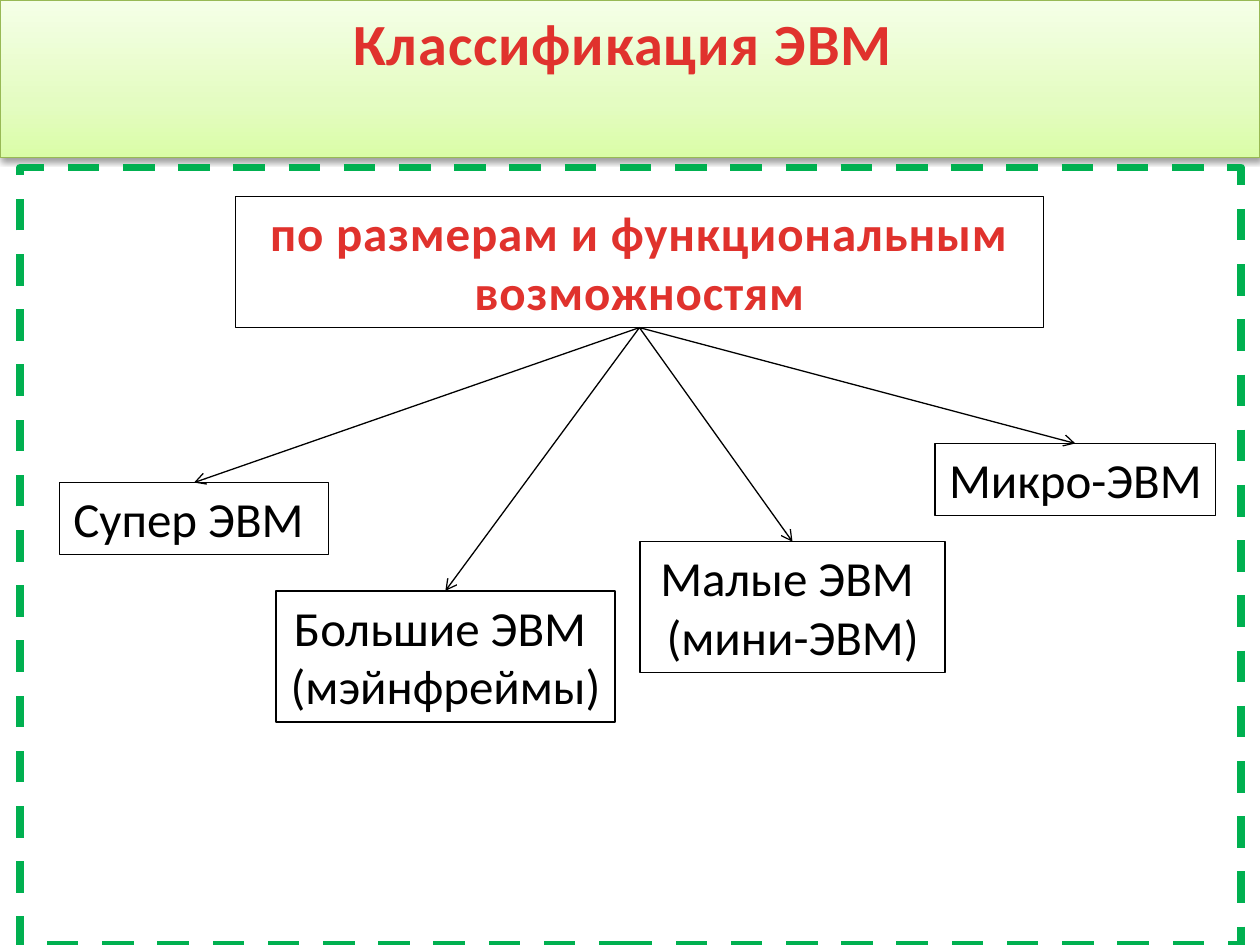
from dataclasses import dataclass

import pptx
import pptx.dml.color
import pptx.enum.dml
import pptx.enum.shapes
import pptx.enum.text
import pptx.oxml
import pptx.oxml.ns
import pptx.util

NS = pptx.oxml.ns.nsdecls("a")
BOTTOM, TOP = 2, 0


@dataclass(frozen=True)
class Theme:
    font: str = "Calibri"
    accent: str = "E0322D"
    ink: str = "000000"
    frame: str = "00B050"
    band_line: str = "98B955"
    band_stops: tuple = ((0, "DAFDA7"), (35, "E4FCC2"), (100, "F5FFE7"))
    title_size: float = 33.3
    body_size: float = 28
    thin: float = 0.75
    thick: float = 4.5


def rgb(value):
    return pptx.dml.color.RGBColor.from_string(value)


def apply(target, values):
    for name, value in values.items():
        setattr(target, name, value)


class SlideBuilder:
    """Places elements on a grid of 100 columns by 75 rows."""

    def __init__(self, prs, theme):
        self.theme = theme
        self.cell = prs.slide_width / 100
        self.s = prs.slides.add_slide(prs.slide_layouts[5])

    def place(self, *cells):
        return [round(c * self.cell) for c in cells]

    def outline(self, sp, color, width):
        sp.line.color.rgb = rgb(color)
        sp.line.width = pptx.util.Pt(width)

    def add_lines(self, tf, lines, size, heading):
        for i, text in enumerate(lines):
            p = tf.paragraphs[0] if i == 0 else tf.add_paragraph()
            p.alignment = pptx.enum.text.PP_ALIGN.CENTER
            r = p.add_run()
            r.text = text
            apply(r.font, {"name": self.theme.font, "size": pptx.util.Pt(size), "bold": heading})
            r.font.color.rgb = rgb(self.theme.accent if heading else self.theme.ink)
            if heading:
                r.font._element.set("spc", "50")

    def title(self, text, *cells):
        sp = self.s.shapes.title
        apply(sp, dict(zip(("left", "top", "width", "height"), self.place(*cells))))
        stops = "".join(
            f'<a:gs pos="{pos * 1000}"><a:srgbClr val="{color}"/></a:gs>'
            for pos, color in self.theme.band_stops)
        sp._element.spPr.append(pptx.oxml.parse_xml(
            f'<a:gradFill {NS} rotWithShape="1"><a:gsLst>{stops}</a:gsLst>'
            '<a:lin ang="16200000" scaled="0"/></a:gradFill>'))
        self.outline(sp, self.theme.band_line, self.theme.thin)
        sp._element.spPr.append(pptx.oxml.parse_xml(
            f'<a:effectLst {NS}><a:outerShdw blurRad="40000" dist="20000" dir="5400000" '
            'rotWithShape="0"><a:srgbClr val="000000"><a:alpha val="38000"/></a:srgbClr>'
            '</a:outerShdw></a:effectLst>'))
        tf = sp.text_frame
        apply(tf, {"word_wrap": True,
                   "auto_size": pptx.enum.text.MSO_AUTO_SIZE.NONE,
                   "vertical_anchor": pptx.enum.text.MSO_ANCHOR.TOP,
                   "margin_top": pptx.util.Inches(0.12)})
        self.add_lines(tf, [text], self.theme.title_size, True)
        tf.paragraphs[0].line_spacing = 0.9

    def frame(self, *cells):
        sp = self.s.shapes.add_shape(
            pptx.enum.shapes.MSO_SHAPE.RECTANGLE, *self.place(*cells))
        sp.shadow.inherit = False
        sp.fill.background()
        self.outline(sp, self.theme.frame, self.theme.thick)
        sp.line.dash_style = pptx.enum.dml.MSO_LINE.DASH

    def box(self, lines, *cells, heading=False, wrap=False):
        sp = self.s.shapes.add_textbox(*self.place(*cells))
        self.outline(sp, self.theme.ink, self.theme.thin)
        apply(sp.text_frame, {"word_wrap": wrap,
                              "auto_size": pptx.enum.text.MSO_AUTO_SIZE.SHAPE_TO_FIT_TEXT})
        self.add_lines(sp.text_frame, lines, self.theme.body_size, heading)
        return sp

    def arrow(self, parent, child):
        c = self.s.shapes.add_connector(
            pptx.enum.shapes.MSO_CONNECTOR.STRAIGHT, 0, 0, 0, 0)
        c.begin_connect(parent, BOTTOM)
        c.end_connect(child, TOP)
        self.outline(c, self.theme.ink, self.theme.thin)
        c.line._ln.append(pptx.oxml.parse_xml(f'<a:tailEnd {NS} type="arrow"/>'))
        c._element.spPr.append(pptx.oxml.parse_xml(f"<a:effectLst {NS}/>"))


def main():
    prs = pptx.Presentation()
    prs.slide_width = pptx.util.Inches(10)
    prs.slide_height = pptx.util.Inches(7.5)
    slide = SlideBuilder(prs, Theme())

    slide.title("Классификация ЭВМ ", 0, 0, 100, 12.5)
    slide.frame(1.6, 13.3, 96.9, 61.7)
    criterion = slide.box(["по размерам и функциональным возможностям"],
                          18.7, 15.6, 64.1, 10.4, heading=True, wrap=True)
    classes = [
        slide.box(["Супер ЭВМ "], 4.7, 38.3, 21.4, 5.7),
        slide.box(["Большие ЭВМ ", "(мэйнфреймы)"], 21.9, 46.9, 26.9, 10.4),
        slide.box(["Малые ЭВМ ", "(мини-ЭВМ)"], 50.8, 43, 24.2, 10.4, wrap=True),
        slide.box(["Микро-ЭВМ"], 74.2, 35.2, 22.3, 5.7),
    ]
    for computer_class in classes:
        slide.arrow(criterion, computer_class)

    prs.save("out.pptx")


if __name__ == "__main__":
    main()
